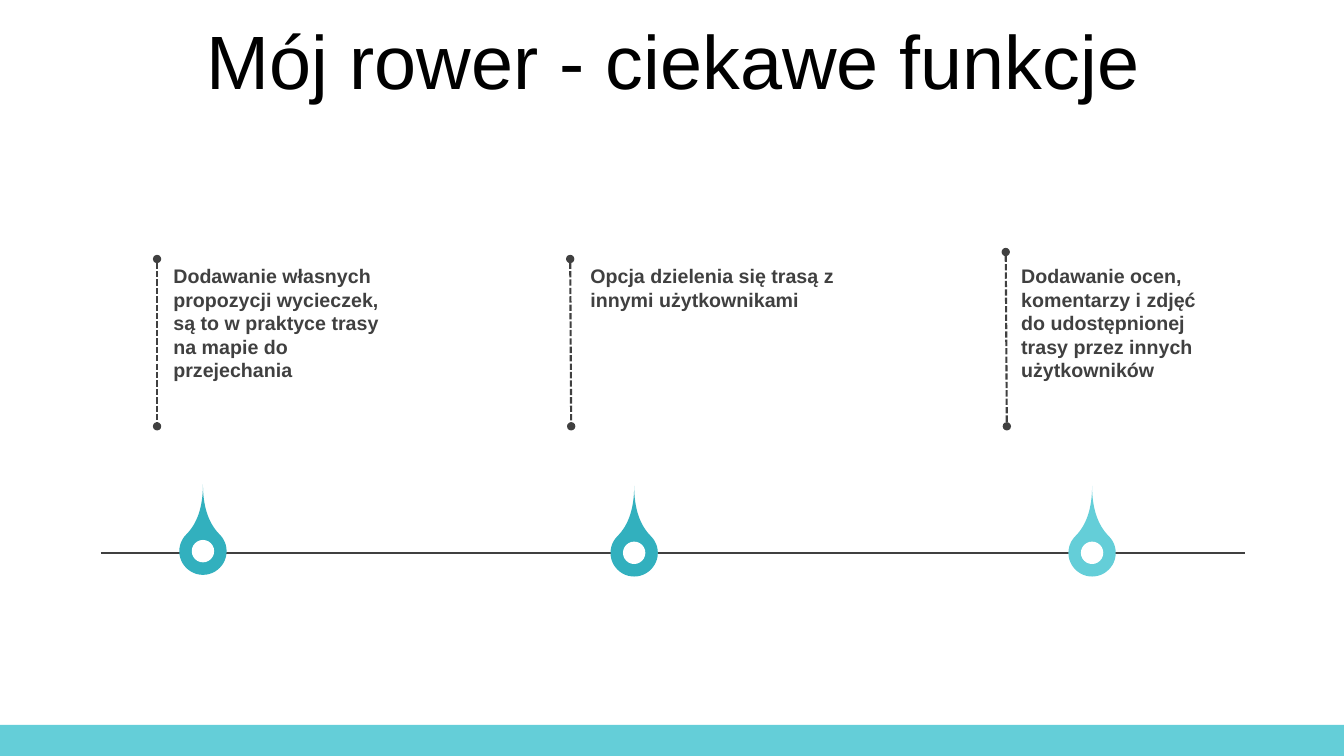
from lxml import etree
from pptx import Presentation
from pptx.dml.color import RGBColor
from pptx.enum.dml import MSO_LINE
from pptx.enum.shapes import MSO_CONNECTOR, MSO_SHAPE
from pptx.enum.text import MSO_ANCHOR, MSO_AUTO_SIZE, PP_ALIGN
from pptx.oxml.ns import qn
from pptx.util import Pt

RECTANGLE = MSO_SHAPE.RECTANGLE
TEARDROP = MSO_SHAPE.TEAR
OVAL = MSO_SHAPE.OVAL
STRAIGHT = MSO_CONNECTOR.STRAIGHT
DASH = MSO_LINE.SQUARE_DOT
MIDDLE = MSO_ANCHOR.MIDDLE
TOP = MSO_ANCHOR.TOP
CENTER = PP_ALIGN.CENTER
LEFT = PP_ALIGN.LEFT
NO_FIT = MSO_AUTO_SIZE.NONE
GROW = MSO_AUTO_SIZE.SHAPE_TO_FIT_TEXT

FONT = "Arial"
BLACK, DARK, WHITE = "000000", "404040", "FFFFFF"
TEAL, AQUA = "32B0BE", "64CED8"
DROP_SIZE, HOLE_SIZE = 33.8, 16
NOTE_TOP, GUIDE_BOTTOM = 185, 304.5


def colour(value):
    return RGBColor.from_string(value)


class TimelineSlide:
    def __init__(self, presentation):
        self.slide = presentation.slides.add_slide(presentation.slide_layouts[5])
        self.shapes = self.slide.shapes

    def set_text(self, frame, text, size, color, bold, align, anchor, fit):
        frame.text = text
        frame.word_wrap = True
        frame.auto_size = fit
        frame.vertical_anchor = anchor
        paragraph = frame.paragraphs[0]
        paragraph.alignment = align
        font = paragraph.runs[0].font
        font.name, font.size, font.bold = FONT, Pt(size), bold
        font.color.rgb = colour(color)
        return paragraph

    def title(self, text, left, top, width, height):
        shape = self.shapes.title
        shape.left, shape.top = Pt(left), Pt(top)
        shape.width, shape.height = Pt(width), Pt(height)
        paragraph = self.set_text(shape.text_frame, text, 54, BLACK, False,
                                  CENTER, MIDDLE, NO_FIT)
        paragraph.line_spacing = 0.9

    def note(self, text, left, width, height):
        box = self.shapes.add_textbox(Pt(left), Pt(NOTE_TOP), Pt(width), Pt(height))
        frame = box.text_frame
        frame.margin_left = frame.margin_right = Pt(8.64)
        frame.margin_top = frame.margin_bottom = Pt(3.6)
        self.set_text(frame, text, 14, DARK, True, LEFT, TOP, GROW)

    def shape(self, shapes, kind, left, top, width, height, fill):
        shape = shapes.add_shape(kind, Pt(left), Pt(top), Pt(width), Pt(height))
        shape.shadow.inherit = False
        shape.fill.solid()
        shape.fill.fore_color.rgb = colour(fill)
        shape.line.fill.background()
        return shape

    def line(self, start, end, width):
        connector = self.shapes.add_connector(STRAIGHT, *map(Pt, start + end))
        connector.line.color.rgb = colour(DARK)
        connector.line.width = Pt(width)
        etree.SubElement(connector._element.spPr, qn("a:effectLst"))
        return connector

    def guide(self, start, end):
        connector = self.line(start, end, 1.5)
        connector.line.dash_style = DASH
        outline = connector._element.spPr.find(qn("a:ln"))
        for tag in ("a:headEnd", "a:tailEnd"):
            etree.SubElement(outline, qn(tag), type="oval")

    def marker(self, left, top, fill):
        group = self.shapes.add_group_shape()
        drop = self.shape(group.shapes, TEARDROP, left, top, DROP_SIZE, DROP_SIZE, fill)
        drop.adjustments[0] = 2
        drop.rotation = 315
        inset = (DROP_SIZE - HOLE_SIZE) / 2
        self.shape(group.shapes, OVAL, left + inset, top + inset,
                   HOLE_SIZE, HOLE_SIZE, WHITE)


def main():
    presentation = Presentation()
    presentation.slide_width, presentation.slide_height = Pt(960), Pt(540)
    page = TimelineSlide(presentation)
    page.shape(page.shapes, RECTANGLE, 0, 517.7, 960, 22.3, AQUA)
    page.title("Mój rower - ciekawe funkcje", 25.2, 18, 911.5, 56.9)
    page.line((72, 395.2), (889.6, 395.2), 1.75)

    for left, top, fill in ((128.1, 376.8, TEAL), (436.1, 378, TEAL), (763.2, 378, AQUA)):
        page.marker(left, top, fill)

    features = (
        ("Dodawanie własnych propozycji wycieczek, są to w praktyce trasy "
         "na mapie do przejechania", 115.2, 164.9, 92, (112.2, 185), 112.2),
        ("Opcja dzielenia się trasą z innymi użytkownikami",
         413.1, 225.4, 41, (407.3, 185), 408),
        ("Dodawanie ocen, komentarzy i zdjęć do udostępnionej trasy "
         "przez innych użytkowników", 720.8, 159.1, 92, (718.4, 180), 719.2),
    )
    for text, left, width, height, guide_start, guide_end in features:
        page.note(text, left, width, height)
        page.guide(guide_start, (guide_end, GUIDE_BOTTOM))

    presentation.save("out.pptx")


if __name__ == "__main__":
    main()
